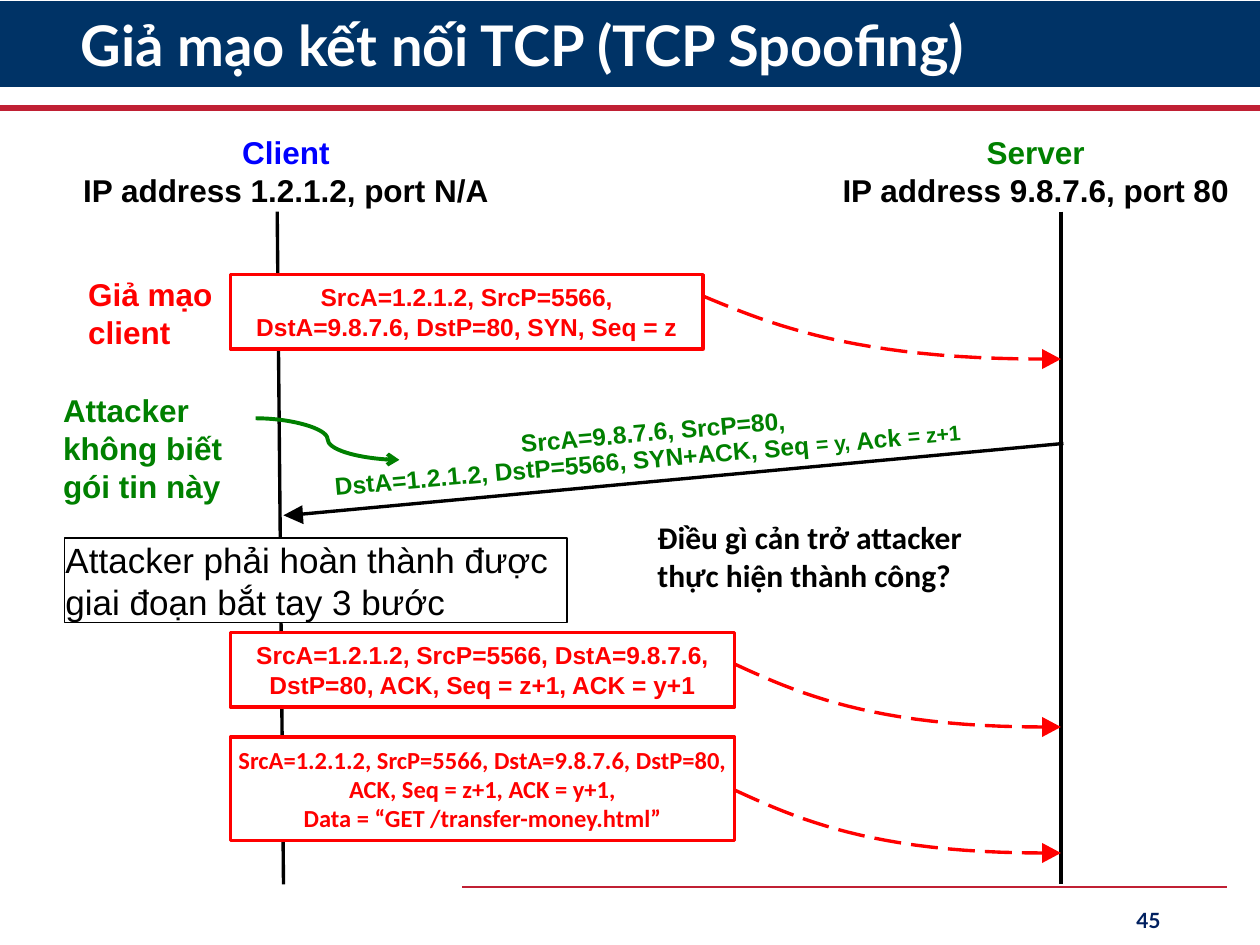
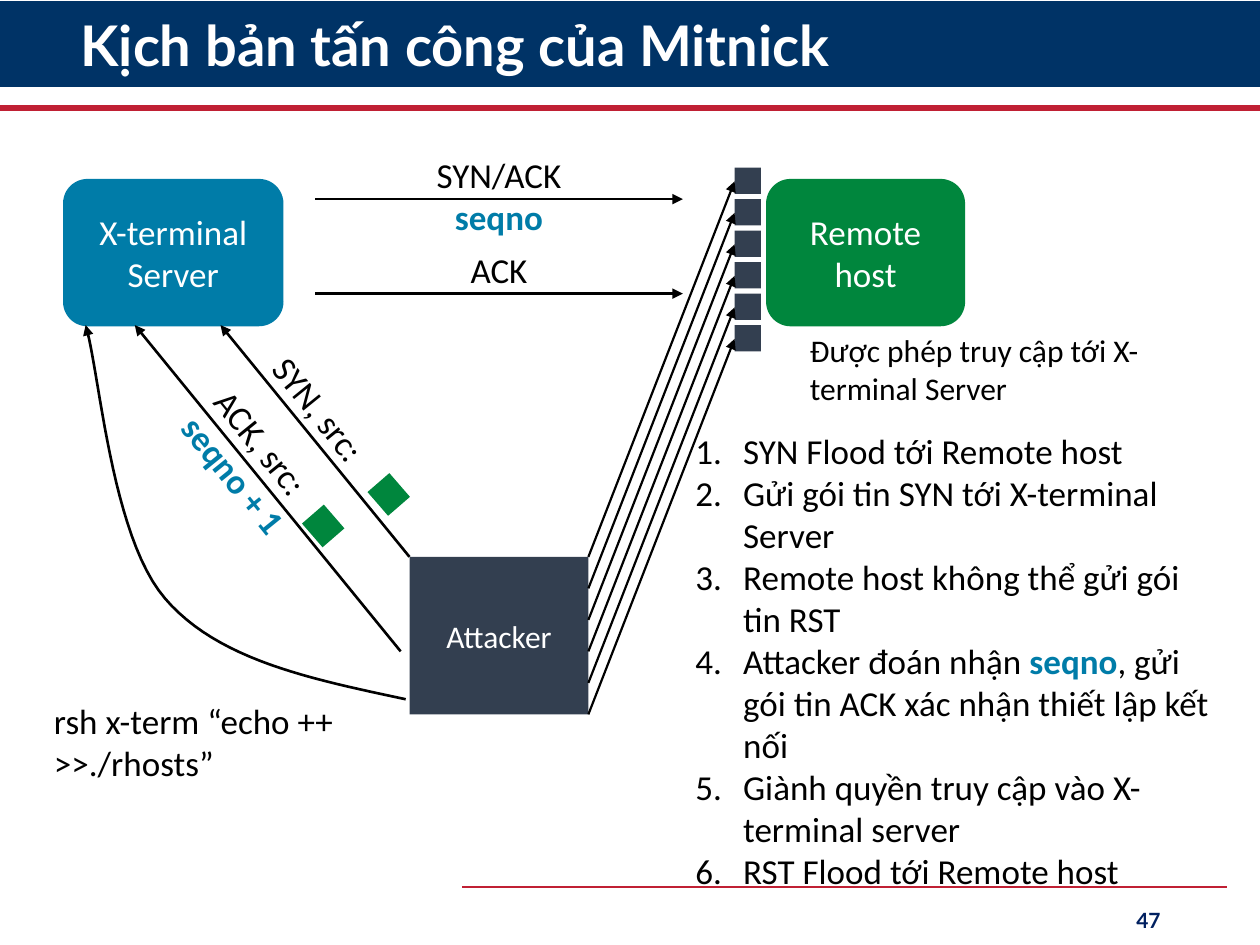
import collections

import pptx
import pptx.dml.color
import pptx.enum.dml
import pptx.enum.shapes
import pptx.enum.text
import pptx.oxml.ns
import pptx.util
from lxml import etree

Box = collections.namedtuple("Box", "left top width height")
Inches = pptx.util.Inches
SHAPES = pptx.enum.shapes.MSO_SHAPE
CONNECTORS = pptx.enum.shapes.MSO_CONNECTOR
ALIGN = pptx.enum.text.PP_ALIGN
ANCHOR = pptx.enum.text.MSO_ANCHOR
COLORS = {
    "navy": "003366", "crimson": "C02034", "number": "002060", "white": "FFFFFF", "black": "000000",
    "blue": "0000FF", "green": "008000", "red": "FF0000",
    "teal": "007CA8", "leaf": "00863D", "slate": "333F50",
}


def rgb(name):
    """Return the named palette colour."""
    return pptx.dml.color.RGBColor.from_string(COLORS[name])


def style_run(run, font, size, color, bold, baseline=None):
    """Format one run."""
    run.font.name = font
    run.font.size = pptx.util.Pt(size)
    run.font.bold = bold
    run.font.color.rgb = rgb(color)
    if baseline:
        run.font._element.set("baseline", str(baseline))


def write(shape, paragraphs, size=18, color="black", font="Calibri", bold=False,
          align=ALIGN.LEFT, anchor=ANCHOR.TOP, insets=(0.1, 0.05), spacing=None):
    """Fill a shape with paragraphs, each a string or a list of (text, overrides) runs."""
    frame = shape.text_frame
    frame.word_wrap = True
    frame.vertical_anchor = anchor
    frame.margin_left = frame.margin_right = Inches(insets[0])
    frame.margin_top = frame.margin_bottom = Inches(insets[1])
    for index, content in enumerate(paragraphs):
        paragraph = frame.add_paragraph() if index else frame.paragraphs[0]
        paragraph.alignment = align
        paragraph.line_spacing = spacing
        for text, overrides in [(content, {})] if isinstance(content, str) else content:
            run = paragraph.add_run()
            run.text = text
            style_run(run, **{"font": font, "size": size, "color": color, "bold": bold, **overrides})


def add_text(slide, box, paragraphs, rotation=0, **style):
    """Add a text box."""
    shape = slide.shapes.add_textbox(*map(Inches, box))
    shape.rotation = rotation
    write(shape, paragraphs, **style)


def paint(shape, fill=None, line=None, width=1):
    """Set fill and outline and remove the shadow."""
    shape.shadow.inherit = False
    if fill:
        shape.fill.solid()
        shape.fill.fore_color.rgb = rgb(fill)
    else:
        shape.fill.background()
    if line:
        shape.line.color.rgb = rgb(line)
        shape.line.width = pptx.util.Pt(width)
    else:
        shape.line.fill.background()


def add_block(slide, box, fill, line=None, width=1, kind=SHAPES.RECTANGLE, rotation=0):
    """Add a preset shape."""
    shape = slide.shapes.add_shape(kind, *map(Inches, box))
    shape.rotation = rotation
    paint(shape, fill, line, width)
    return shape


def add_arrowhead(shape, kind):
    """Put an arrowhead at the end of a line."""
    tail = etree.SubElement(shape.line._get_or_add_ln(), pptx.oxml.ns.qn("a:tailEnd"))
    tail.set("type", kind)


def add_line(slide, start, end, color="black", width=1.5, head=None, kind=CONNECTORS.STRAIGHT):
    """Add a connector between two points."""
    connector = slide.shapes.add_connector(kind, *map(Inches, (*start, *end)))
    connector.line.color.rgb = rgb(color)
    connector.line.width = pptx.util.Pt(width)
    if head:
        add_arrowhead(connector, head)
    etree.SubElement(connector._element.spPr, pptx.oxml.ns.qn("a:effectLst"))


def add_outline(slide, points, closed, **look):
    """Add a freeform through points."""
    corners = [(Inches(x), Inches(y)) for x, y in points]
    builder = slide.shapes.build_freeform(*corners[0])
    builder.add_line_segments(corners[1:], close=closed)
    shape = builder.convert_to_shape()
    paint(shape, **look)
    return shape


def bezier(start, first, second, end, steps=24):
    """Return points along a cubic curve."""
    def blend(t, a, b, c, d):
        """Return one coordinate at t."""
        return (1 - t) ** 3 * a + 3 * (1 - t) ** 2 * t * b + 3 * (1 - t) * t ** 2 * c + t ** 3 * d
    return [tuple(blend(i / steps, *axis) for axis in zip(start, first, second, end))
            for i in range(steps + 1)]


def add_frame(slide, box, title, number):
    """Draw the title band, the rules and the slide number."""
    left, top, width, height = box
    add_block(slide, Box(left, top + 0.01, width, 0.68), "navy")
    add_line(slide, (left, top + 0.86), (left + width, top + 0.86), "crimson", 3.5)
    add_line(slide, (left + 3.67, top + 7.04), (left + 9.74, top + 7.04), "crimson", 1.5)
    add_text(slide, Box(left + 0.54, top + 0.08, 8.77, 0.61), [title], size=32, color="white",
             font="Lato", bold=True, anchor=ANCHOR.MIDDLE, spacing=0.9)
    add_text(slide, Box(left + 7.06, top + height - 0.4, 2.25, 0.4), [number], size=12,
             color="number", font="Lato", bold=True, align=ALIGN.RIGHT, anchor=ANCHOR.MIDDLE)


def add_lifeline(slide, box, role, color, address, start, end):
    """Draw a host heading and its lifeline."""
    add_line(slide, (start, box.top + 0.63), (end, box.top + box.height), width=1.92)
    add_text(slide, Box(box.left, box.top, box.width, 0.61), [[(role, {"color": color})], address],
             font="Arial", bold=True, align=ALIGN.CENTER, insets=(0, 0), spacing=1.01)


def add_forged_packet(slide, box, lines, exit_drop, target, font="Arial", inset=0.17):
    """Draw a forged packet with its dashed path to the target lifeline."""
    packet = add_block(slide, box, "white", "red", 1.92)
    write(packet, lines, size=14, color="red", font=font, bold=True, align=ALIGN.CENTER,
          anchor=ANCHOR.MIDDLE, insets=(inset, 0))
    x, y = box.left + box.width, box.top + exit_drop
    base = target - 0.15
    run, drop = base - x, 0.5
    curve = bezier((x, y), (x + 0.2 * run, y + 0.45 * drop), (x + 0.45 * run, y + drop), (base, y + drop))
    path = add_outline(slide, curve, False, line="red", width=1.92)
    path.line.dash_style = pptx.enum.dml.MSO_LINE.LONG_DASH
    tip = y + drop
    add_outline(slide, [(base, tip - 0.08), (base, tip + 0.08), (target, tip)], True, fill="red")


def add_reply(slide, box):
    """Draw the slanted server reply and its two labels."""
    left, top, width, height = box
    bottom = top + height
    add_line(slide, (left + width, top), (left + 0.15, bottom - 0.01), width=1.92)
    add_outline(slide, [(left + 0.15, bottom - 0.08), (left, bottom), (left + 0.16, bottom + 0.07)],
                True, fill="black")
    style = dict(rotation=355, size=14, color="green", font="Arial", bold=True, insets=(0, 0),
                 spacing=pptx.util.Pt(16.5))
    raised = {"size": 21, "baseline": 2000}
    add_text(slide, Box(left + 1.88, top - 0.21, 2.11, 0.23), ["SrcA=9.8.7.6, SrcP=80,"], **style)
    add_text(slide, Box(left + 0.4, top + 0.02, 5.12, 0.23),
             [[("DstA=1.2.1.2, DstP=5566, SYN+ACK, Seq ", {}), ("= y, ", raised),
               ("Ack ", {}), ("= z+1", raised)]], **style)


def add_spoofing_notes(slide, box):
    """Place the remarks around the exchange."""
    left, top = box.left, box.top
    style = dict(font="Arial", bold=True, insets=(0, 0), spacing=1.01)
    add_text(slide, Box(left + 0.2, top, 1.14, 0.61), ["Giả mạo client"], color="red", **style)
    add_text(slide, Box(left, top + 0.92, 1.58, 0.92), ["Attacker không biết gói tin này"],
             color="green", **style)
    add_line(slide, (left + 1.53, top + 1.14), (left + 2.67, top + 1.47), "green", 2.25, "arrow",
             CONNECTORS.CURVE)
    handshake = add_block(slide, Box(left + 0.01, top + 2.09, 3.99, 0.67), "white", "black", 0.75)
    write(handshake, ["Attacker phải hoàn thành được giai đoạn bắt tay 3 bước"], size=20,
          font="Arial", insets=(0.01, 0))
    add_text(slide, Box(left + 4.62, top + 1.88, 3.1, 0.71),
             ["Điều gì cản trở attacker thực hiện thành công?"], bold=True)


def build_spoofing(slide):
    """Build the TCP spoofing sequence."""
    server = 8.42
    add_frame(slide, Box(0, 0, 10, 7.5), "Giả mạo kết nối TCP (TCP Spoofing)", "45")
    add_lifeline(slide, Box(0.42, 1.05, 3.7, 5.97), "Client", "blue",
                 "IP address 1.2.1.2, port N/A", 2.2, 2.25)
    add_lifeline(slide, Box(6.67, 1.05, 3.1, 5.97), "Server", "green",
                 "IP address 9.8.7.6, port 80", server, server)
    add_forged_packet(slide, Box(1.83, 2.18, 3.75, 0.59),
                      ["SrcA=1.2.1.2, SrcP=5566, DstA=9.8.7.6, DstP=80, SYN, Seq = z"], 0.17, server)
    add_reply(slide, Box(2.25, 3.52, 6.19, 0.57))
    add_spoofing_notes(slide, Box(0.5, 2.18, 7.72, 2.76))
    add_forged_packet(slide, Box(1.83, 5.02, 4, 0.59),
                      ["SrcA=1.2.1.2, SrcP=5566, DstA=9.8.7.6, DstP=80, ACK, Seq = z+1, ACK = y+1"],
                      0.25, server)
    add_forged_packet(slide, Box(1.83, 5.85, 4, 0.82),
                      ["SrcA=1.2.1.2, SrcP=5566, DstA=9.8.7.6, DstP=80, ACK, Seq = z+1, ACK = y+1,",
                       "Data = “GET /transfer-money.html”"], 0.42, server, "Calibri", 0.02)


def add_host(slide, box, lines, fill, kind=SHAPES.ROUNDED_RECTANGLE, size=20):
    """Draw one machine."""
    write(add_block(slide, box, fill, kind=kind), lines, size=size, color="white",
          align=ALIGN.CENTER, anchor=ANCHOR.MIDDLE)


def add_flood(slide, box, count=6, pitch=0.25, side=0.21):
    """Draw the queue squares and the flood arrows that reach them."""
    right = box.left + box.width
    for index in range(count):
        top = box.top + index * pitch
        add_block(slide, Box(right, top, side, side), "slate")
        add_line(slide, (box.left, top + box.height), (right, top + 0.11), width=1.25, head="triangle")


def add_answer(slide, box, lines, rise):
    """Draw a labelled arrow from the server to the remote host."""
    add_line(slide, (box.left, box.top), (box.left + box.width, box.top), head="triangle")
    add_text(slide, Box(box.left + 0.67, box.top - rise, 1.58, box.height), lines, size=20,
             align=ALIGN.CENTER)


def add_spoofed_arrow(slide, box, lines, label, source):
    """Draw a slanted arrow with a rotated label and a forged source mark."""
    add_line(slide, (box.left + box.width, box.top + box.height), (box.left, box.top), head="triangle")
    add_text(slide, Box(box.left + label[0], box.top + label[1], 1.92, label[2]), lines, rotation=51, size=20)
    add_block(slide, Box(box.left + source[0], box.top + source[1], 0.25, 0.23), "leaf", rotation=49.1)


def add_command(slide, box):
    """Draw the curved remote command arrow and its text."""
    left, top, width, height = box
    middle = (left + 0.63, top + 2.17)
    curve = bezier((left + width, top + height), (left + 1.79, top + 2.81), (left + 1.05, top + 2.66), middle)
    curve += bezier(middle, (left + 0.2, top + 1.67), (left + 0.11, top + 0.36), (left, top))[1:]
    add_arrowhead(add_outline(slide, curve, False, line="black", width=1.5), "triangle")
    add_text(slide, Box(left - 0.35, top + 2.92, 3.26, 0.77), ["rsh x-term “echo ++ >>./rhosts”"], size=20)


def add_steps(slide, box, seqno):
    """Write the numbered attack steps."""
    add_text(slide, box, [
        "SYN Flood tới Remote host",
        "Gửi gói tin SYN tới X-terminal Server",
        "Remote host không thể gửi gói tin RST",
        [("Attacker đoán nhận ", {}), ("seqno", seqno),
         (", gửi gói tin ACK xác nhận thiết lập kết nối", {})],
        "Giành quyền truy cập vào X-terminal server",
        "RST Flood tới Remote host"], size=20)
    for paragraph in slide.shapes[-1].text_frame.paragraphs:
        properties = paragraph._p.get_or_add_pPr()
        properties.set("marL", str(Inches(0.38)))
        properties.set("indent", str(Inches(-0.38)))
        etree.SubElement(properties, pptx.oxml.ns.qn("a:buAutoNum")).set("type", "arabicPeriod")


def build_mitnick(slide):
    """Build the Mitnick attack scenario."""
    seqno = {"color": "teal", "bold": True}
    add_frame(slide, Box(0, 0, 10, 7.5), "Kịch bản tấn công của Mitnick", "47")
    add_host(slide, Box(0.5, 1.42, 1.75, 1.17), ["X-terminal", "Server"], "teal")
    add_host(slide, Box(6.08, 1.42, 1.58, 1.17), ["Remote", "host"], "leaf")
    add_host(slide, Box(3.25, 4.42, 1.42, 1.25), ["Attacker"], "slate", SHAPES.RECTANGLE, 18)
    add_text(slide, Box(6.33, 2.58, 3.25, 0.71), ["Được phép truy cập tới X-terminal Server"])
    add_flood(slide, Box(4.67, 1.33, 1.16, 3.09))
    add_steps(slide, Box(5.42, 3.36, 4.33, 3.8), seqno)
    add_spoofed_arrow(slide, Box(1.75, 2.58, 1.5, 1.84), ["SYN, src:"], (0.06, 0.74, 0.44), (1.21, 1.23))
    add_spoofed_arrow(slide, Box(1.07, 2.58, 2.11, 2.59), ["ACK, src:", [("seqno + 1", seqno)]],
                      (0.15, 0.94, 0.77), (1.37, 1.48))
    add_answer(slide, Box(2.5, 1.58, 2.92, 0.77), ["SYN/ACK", [("seqno", seqno)]], 0.41)
    add_answer(slide, Box(2.5, 2.33, 2.92, 0.44), ["ACK"], 0.41)
    add_command(slide, Box(0.68, 2.58, 2.54, 2.97))


def main():
    """Build and save the presentation."""
    presentation = pptx.Presentation()
    presentation.slide_width, presentation.slide_height = Inches(10), Inches(7.5)
    for build in (build_spoofing, build_mitnick):
        build(presentation.slides.add_slide(presentation.slide_layouts[6]))
    presentation.save("out.pptx")


if __name__ == "__main__":
    main()
